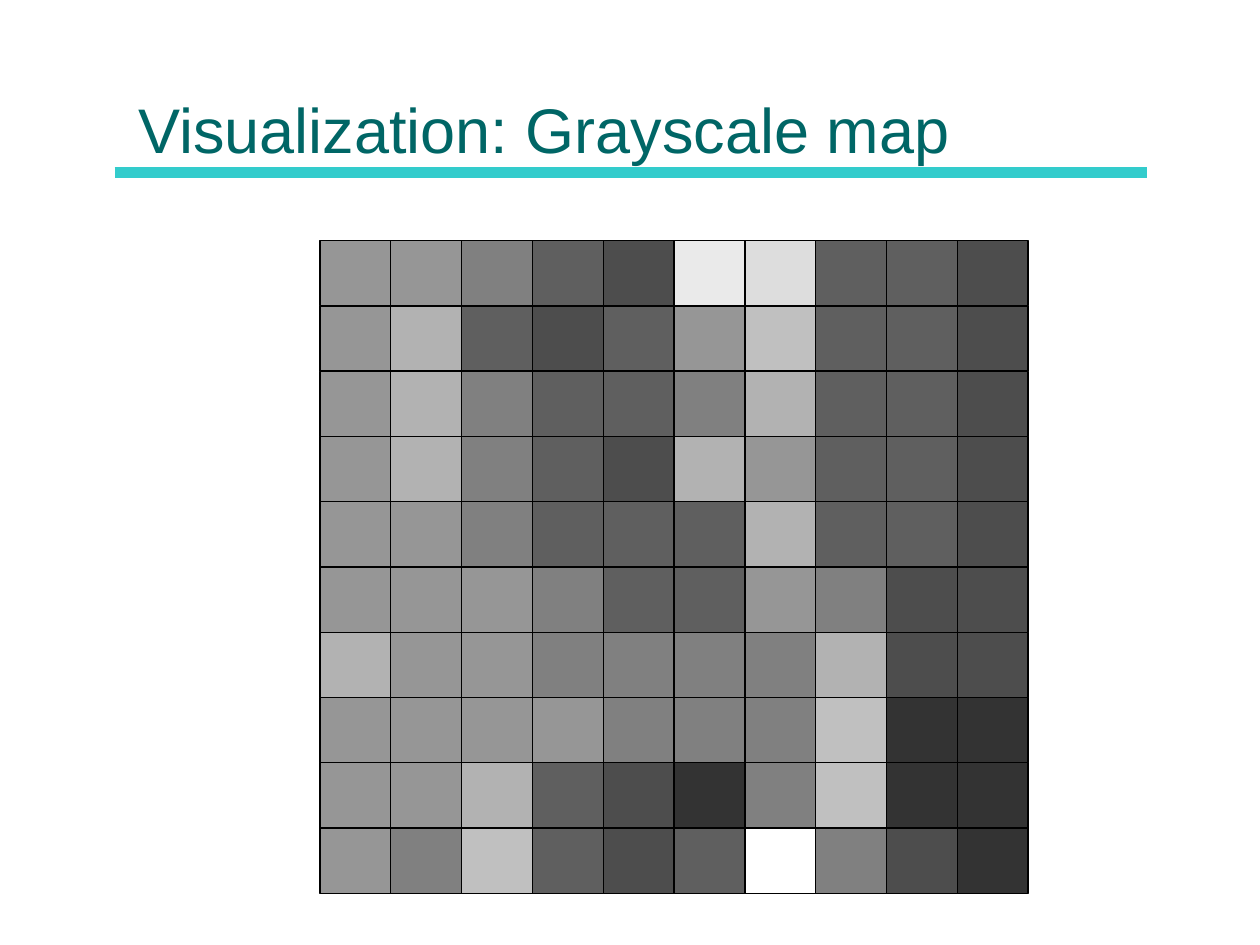
"""Build a slide showing a grid of numbers as a grayscale map."""
from lxml.etree import SubElement
from pptx import Presentation
from pptx.dml.color import RGBColor
from pptx.enum.shapes import MSO_CONNECTOR, MSO_SHAPE
from pptx.enum.text import MSO_ANCHOR
from pptx.oxml.ns import qn
from pptx.util import Inches, Pt

TEAL = RGBColor(0x00, 0x66, 0x66)
TURQUOISE = RGBColor(0x33, 0xCC, 0xCC)
BLACK = RGBColor(0x00, 0x00, 0x00)
GRAYS = [RGBColor(v, v, v) for v in
         (0x33, 0x4D, 0x5F, 0x80, 0x96, 0xB2, 0xC0, 0xDD, 0xEA, 0xFF)]

MAP_COLUMNS = [
    "4444445444",
    "4555444443",
    "3233344456",
    "2122233422",
    "1221223311",
    "8435223302",
    "7654543339",
    "2222235663",
    "2222211001",
    "1111111000",
]
MAP_LEFT, MAP_TOP = 2.54, 1.91
MAP_WIDTH, MAP_HEIGHT = 5.62, 5.18


def add_rule(s, x1, x2, y):
    sp = s.shapes.add_connector(MSO_CONNECTOR.STRAIGHT, Inches(x1), Inches(y),
                                Inches(x2), Inches(y))
    sp.line.color.rgb = TURQUOISE
    sp.line.width = Pt(6)
    SubElement(sp._element.spPr, qn("a:effectLst"))


def add_title(s, text):
    sp = s.shapes.add_textbox(Inches(1), Inches(0.12), Inches(8), Inches(1.25))
    tf = sp.text_frame
    tf.word_wrap = True
    tf.vertical_anchor = MSO_ANCHOR.BOTTOM
    p = tf.paragraphs[0]
    p.text = text
    p.font.name = "Arial"
    p.font.size = Pt(36)
    p.font.color.rgb = TEAL


def add_cell(group, x, y, w, h, color):
    sp = group.shapes.add_shape(MSO_SHAPE.RECTANGLE, Inches(x), Inches(y),
                                Inches(w), Inches(h))
    sp.shadow.inherit = False
    sp.fill.solid()
    sp.fill.fore_color.rgb = color
    sp.line.color.rgb = BLACK
    sp.line.width = Pt(0.75)


def add_map(s, columns):
    group = s.shapes.add_group_shape()
    w = MAP_WIDTH / len(columns)
    h = MAP_HEIGHT / len(columns[0])
    for i, column in enumerate(columns):
        for j, level in enumerate(column):
            add_cell(group, MAP_LEFT + i * w, MAP_TOP + j * h, w, h,
                     GRAYS[int(level)])


def main():
    prs = Presentation()
    prs.slide_width, prs.slide_height = Inches(10), Inches(7.5)
    s = prs.slides.add_slide(prs.slide_layouts[6])
    add_rule(s, 0.91, 9.1, 1.37)
    add_title(s, "Visualization: Grayscale map")
    add_map(s, MAP_COLUMNS)
    prs.save("out.pptx")


if __name__ == "__main__":
    main()
